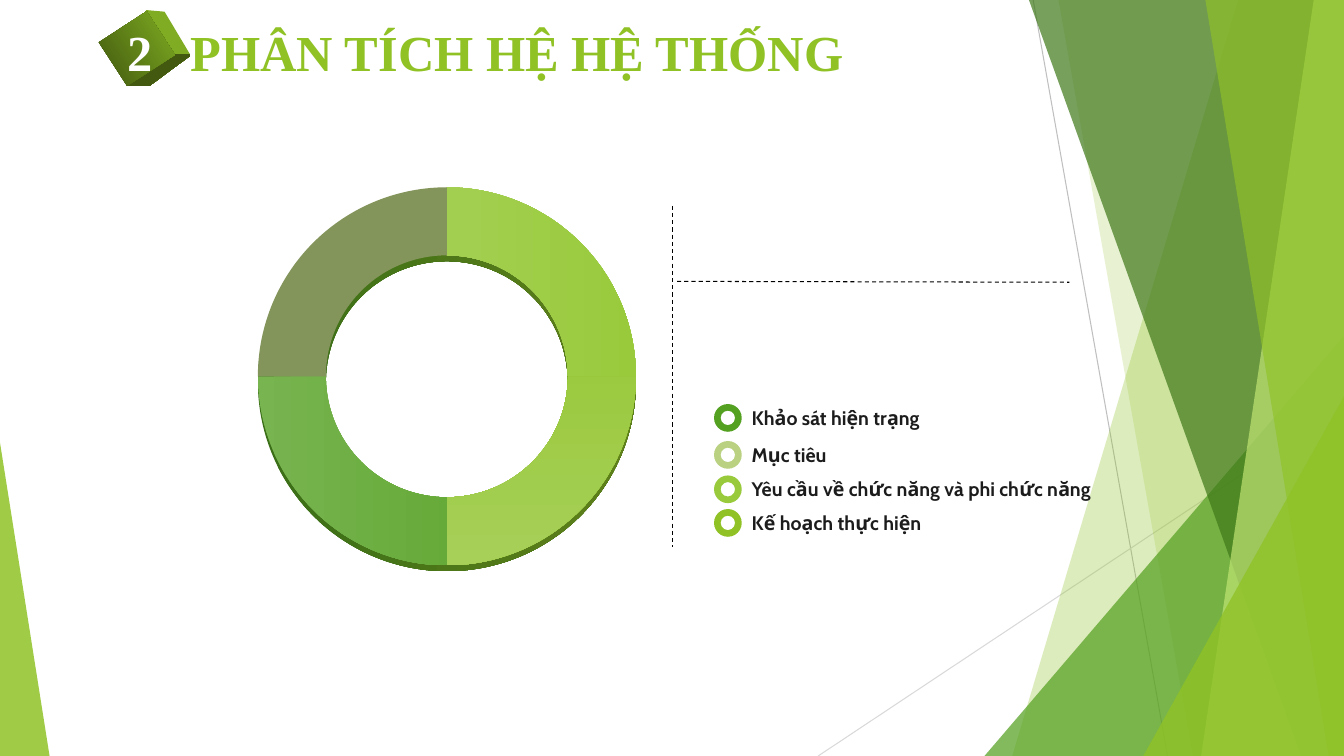
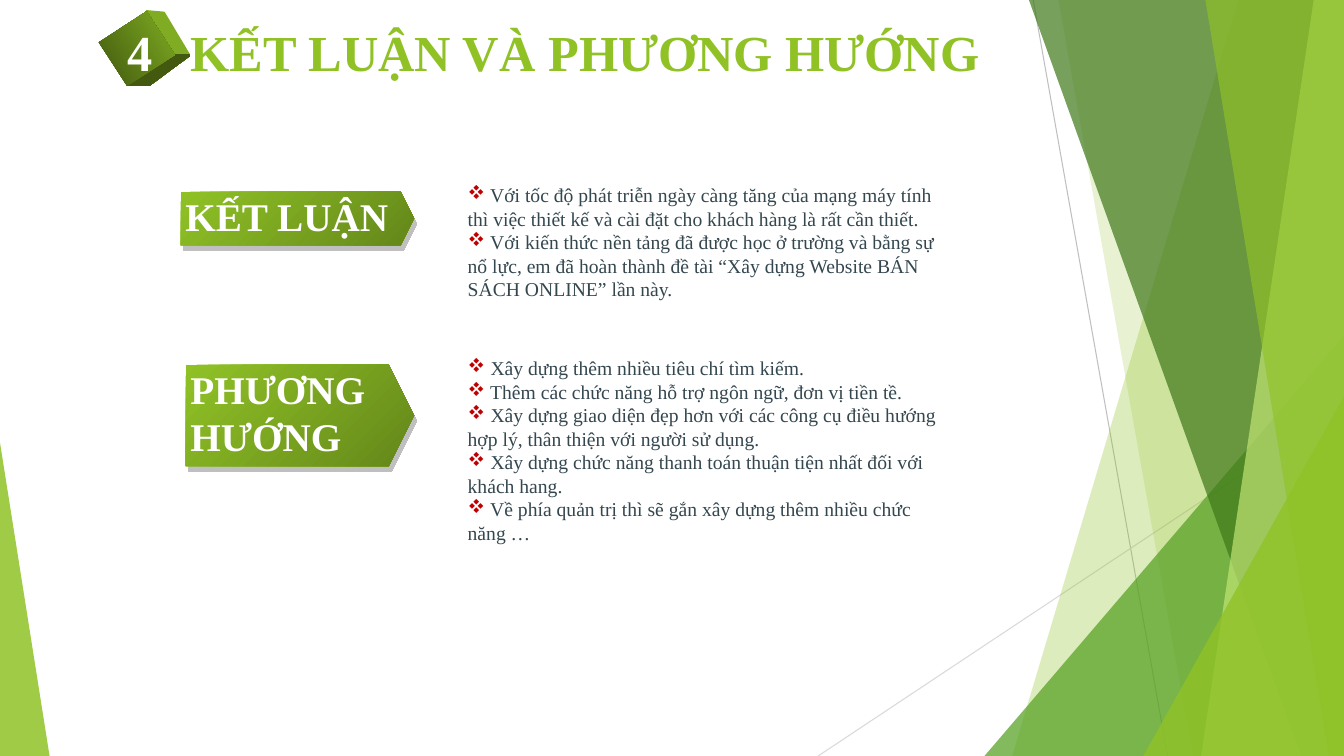
from dataclasses import dataclass

import pptx
import pptx.util
from lxml import etree
from pptx.dml.color import RGBColor
from pptx.enum.dml import MSO_LINE
from pptx.enum.shapes import MSO_CONNECTOR, MSO_SHAPE
from pptx.oxml.ns import qn

# The slide is a grid of 160 x 90 square cells, 12 to the inch.
COLS, ROWS, CELL = 160, 90, 76200
SERIF, SANS = "Times New Roman", "Cabin"
C = {
    "lime": "90C226", "green": "54A021", "forest": "3F7819", "pale": "C0E474",
    "leaf": "99CA3C", "sage": "B9D181", "olive": "83955B", "moss": "64871A",
    "light_leaf": "AFD568", "light_lime": "A6D058", "light_green": "78B450",
    "rim_green": "3A6E17", "rim_lime": "5F801A",
    "cube_dark": "42590F", "cube_side": "7FAC22",
    "white": "FFFFFF", "ink": "1C1C1C", "slate": "34474F", "black": "000000",
    "red": "C00000", "grey": "808080", "rule": "BFBFBF", "rule_light": "D9D9D9",
}


@dataclass
class Box:
    x: float
    y: float
    w: float
    h: float

    def sub(self, x, y, w, h):
        return Box(self.x + x, self.y + y, w, h)

    def emu(self):
        return [round(v * CELL) for v in (self.x, self.y, self.w, self.h)]


def rgb(name):
    return RGBColor.from_string(C[name])


def style(sp, fill, alpha=None, angle=0, stops=(0, 1)):
    """Fill with one colour, or with a pair as a gradient turned clockwise by angle."""
    sp.shadow.inherit = False
    sp.line.fill.background()
    if isinstance(fill, tuple):
        sp.fill.gradient()
        sp.fill.gradient_angle = (360 - angle) % 360
        for stop, name, position in zip(sp.fill.gradient_stops, fill, stops):
            stop.color.rgb = rgb(name)
            stop.position = position
    else:
        sp.fill.solid()
        sp.fill.fore_color.rgb = rgb(fill)
    if alpha:
        clr = sp.element.spPr.find(qn("a:solidFill"))[0]
        etree.SubElement(clr, qn("a:alpha"), val=str(alpha * 1000))
    return sp


def shape(s, kind, box, fill, adj=(), **look):
    sp = s.shapes.add_shape(kind, *box.emu())
    for i, value in enumerate(adj):
        sp.adjustments[i] = value
    return style(sp, fill, **look)


def polygon(s, box, points, fill, **look):
    pts = [(round((box.x + x) * CELL), round((box.y + y) * CELL)) for x, y in points]
    builder = s.shapes.build_freeform(*pts[0])
    builder.add_line_segments(pts[1:], close=True)
    return style(builder.convert_to_shape(), fill, **look)


def line(s, box, start, end, color, dash=False):
    x, y = box.x, box.y
    ends = [round(v * CELL) for v in (x + start[0], y + start[1], x + end[0], y + end[1])]
    ln = s.shapes.add_connector(MSO_CONNECTOR.STRAIGHT, *ends)
    ln.line.color.rgb = rgb(color)
    ln.line.width = pptx.util.Pt(0.75)
    if dash:
        ln.line.dash_style = MSO_LINE.DASH
    etree.SubElement(ln.element.spPr, qn("a:effectLst"))


def text(s, box, paragraphs, size, color, font=SERIF, bold=True, bullet=None, tab=None):
    """Each paragraph is a string, or a list of (string, colour) runs."""
    tf = s.shapes.add_textbox(*box.emu()).text_frame
    tf.word_wrap = True
    for i, content in enumerate(paragraphs):
        p = tf.paragraphs[0] if i == 0 else tf.add_paragraph()
        for words, ink in [(content, color)] if isinstance(content, str) else content:
            r = p.add_run()
            r.text = words
            r.font.size, r.font.name, r.font.bold = pptx.util.Pt(size), font, bold
            r.font.color.rgb = rgb(ink)
        pPr = p._p.get_or_add_pPr()
        if bullet:
            pPr.set("marL", "0")
            pPr.set("indent", "0")
            clr = etree.SubElement(pPr, qn("a:buClr"))
            etree.SubElement(clr, qn("a:srgbClr"), val=C["red"])
            etree.SubElement(pPr, qn("a:buFont"), typeface="Wingdings", charset="2")
            etree.SubElement(pPr, qn("a:buChar"), char=bullet)
        if tab:
            tabs = etree.SubElement(pPr, qn("a:tabLst"))
            etree.SubElement(tabs, qn("a:tab"), pos=str(round(tab * CELL)), algn="l")


def backdrop(s, box):
    line(s, box, (123, 0), (139, box.h), "rule")
    line(s, box, (box.w, 48.4), (97.4, box.h), "rule_light")

    def band(top, bottom, fill, alpha):
        points = [(top, 0), (box.w, 0), (box.w, box.h), (bottom, box.h)]
        polygon(s, box, points, fill, alpha=alpha)

    def corner(x, w, h, fill, alpha, apex):
        shape(s, MSO_SHAPE.ISOSCELES_TRIANGLE, box.sub(x, box.h - h, w, h), fill,
              adj=[apex], alpha=alpha)

    band(147.4, 120.5, "lime", 30)
    band(126, 142, "lime", 20)
    corner(117.2, 42.8, 50, "green", 72, 1)
    band(122.5, 154.9, "forest", 70)
    band(156.4, 143, "pale", 70)
    band(143.5, 158.2, "lime", 65)
    corner(136.1, 23.9, 42.8, "lime", 80, 1)
    corner(0, 5.9, 37.3, "lime", 85, 0)


def heading(s, box, number, title):
    """Numbered cube followed by the slide title."""
    sides = [(5.4, 0.2), (7.6, 0.4), (10.7, 5.6), (5.7, 9.3), (3.3, 9.3)]
    polygon(s, box, sides, ("cube_side", "cube_dark"), angle=90, stops=(0.57, 0.58))
    front = shape(s, MSO_SHAPE.RECTANGLE, box.sub(1.2, 1.4, 6.2, 6.8),
                  ("cube_dark", "cube_side"), angle=270)
    front.rotation = 57
    text(s, box.sub(2, 0.9, box.w - 2, 8), [[(number, "white"), ("\t" + title, "lime")]],
         36, "lime", tab=7.5)


def ring(s, box):
    """Four quarters of a ring, clockwise from the top, over a darker rim."""
    thickness, degree = 0.18, 0.6
    shape(s, MSO_SHAPE.DONUT, box.sub(0, 0.7, box.w, box.h), ("rim_green", "rim_lime"),
          adj=[thickness])
    quarters = [
        (270, ("light_leaf", "leaf"), 0),
        (0, ("lime", "light_lime"), 90),
        (90, ("light_green", "green"), 0),
        (180, "olive", 0),
    ]
    for start, fill, angle in quarters:
        end = (start + 90) % 360
        shape(s, MSO_SHAPE.BLOCK_ARC, box, fill, angle=angle,
              adj=[start * degree, end * degree, thickness])


def legend(s, box, entries):
    line(s, box, (0, 0), (0, box.h), "black", dash=True)
    line(s, box, (0.5, 9), (box.w, 9.1), "black", dash=True)
    for y, color, label in entries:
        shape(s, MSO_SHAPE.DONUT, box.sub(4.9, y, 3.3, 3.3), color, adj=[0.24])
        text(s, box.sub(8.2, y - 0.4, 44, 4), [label], 14, "ink", font=SANS)


def topic(s, box, plate, label, points):
    """Arrow-shaped label at the left of a bulleted text; plate is its left and height."""
    x, h = plate
    sp = shape(s, MSO_SHAPE.PENTAGON, box.sub(x, 0, 27.8 - x, h), ("lime", "moss"),
               adj=[0.25], angle=45)
    effects = sp.element.spPr.find(qn("a:effectLst"))
    shadow = etree.SubElement(effects, qn("a:outerShdw"), dist="57150",
                              dir=str(63 * 60000), algn="ctr", rotWithShape="0")
    clr = etree.SubElement(shadow, qn("a:srgbClr"), val=C["grey"])
    etree.SubElement(clr, qn("a:alpha"), val="50000")
    text(s, box.sub(x - 0.6, -0.5, 27.8, h), label, 28, "white")
    text(s, box.sub(33, -1.6, box.w - 33, box.h), points, 14, "slate", bold=False, bullet="v")


def new_slide(prs, number, title):
    s = prs.slides.add_slide(prs.slide_layouts[6])
    backdrop(s, Box(0, 0, COLS, ROWS))
    heading(s, Box(12, 1, 134, 10), number, title)
    return s


def analysis_slide(prs):
    s = new_slide(prs, "2", "PHÂN TÍCH HỆ HỆ THỐNG")
    ring(s, Box(30.7, 22.3, 45, 45))
    legend(s, Box(80.1, 24.5, 47.2, 40.6), [
        (23.6, "green", "Khảo sát hiện trạng"),
        (28, "sage", "Mục tiêu"),
        (32.1, "leaf", "Yêu cầu về chức năng và phi chức năng"),
        (36.1, "lime", "Kế hoạch thực hiện"),
    ])


def conclusion_slide(prs):
    s = new_slide(prs, "4", "KẾT LUẬN VÀ PHƯƠNG HƯỚNG")
    topic(s, Box(21.5, 22.8, 92.5, 15.4), (0, 6.4), ["KẾT LUẬN"], [
        " Với tốc độ phát triễn ngày càng tăng của mạng máy tính thì việc thiết kế "
        "và cài đặt cho khách hàng là rất cần thiết.",
        " Với kiến thức nền tảng đã được học ở trường và bằng sự nổ lực, em đã hoàn thành "
        "đề tài “Xây dựng Website BÁN SÁCH ONLINE” lần này.",
    ])
    topic(s, Box(21.5, 43.4, 92.5, 23.9), (0.6, 12.1), ["PHƯƠNG", "HƯỚNG"], [
        " Xây dựng thêm nhiều tiêu chí tìm kiếm.",
        " Thêm các chức năng hỗ trợ ngôn ngữ, đơn vị tiền tề.",
        " Xây dựng giao diện đẹp hơn với các công cụ điều hướng hợp lý, "
        "thân thiện với người sử dụng.",
        " Xây dựng chức năng thanh toán thuận tiện nhất đối với khách hang.",
        " Về phía quản trị thì sẽ gắn xây dựng thêm nhiều chức năng …",
    ])


def main():
    prs = pptx.Presentation()
    prs.slide_width, prs.slide_height = COLS * CELL, ROWS * CELL
    analysis_slide(prs)
    conclusion_slide(prs)
    prs.save("out.pptx")


if __name__ == "__main__":
    main()
